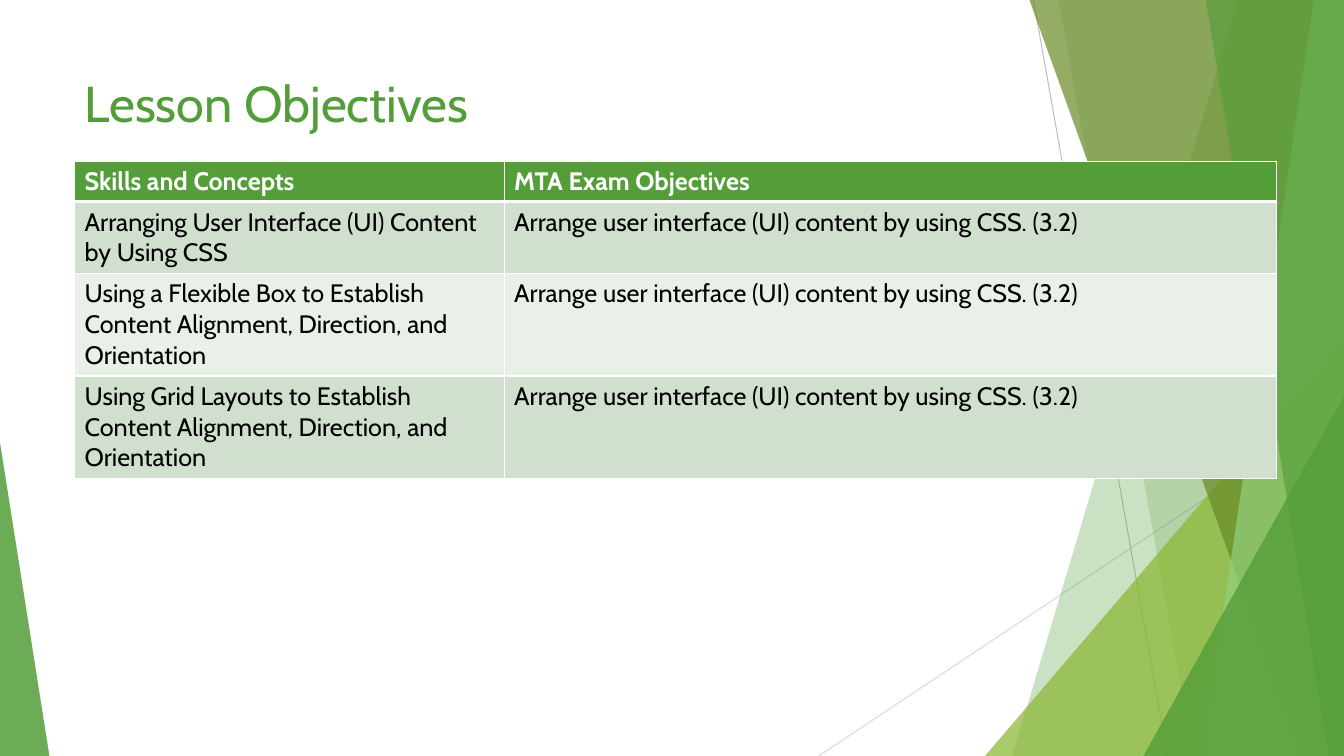
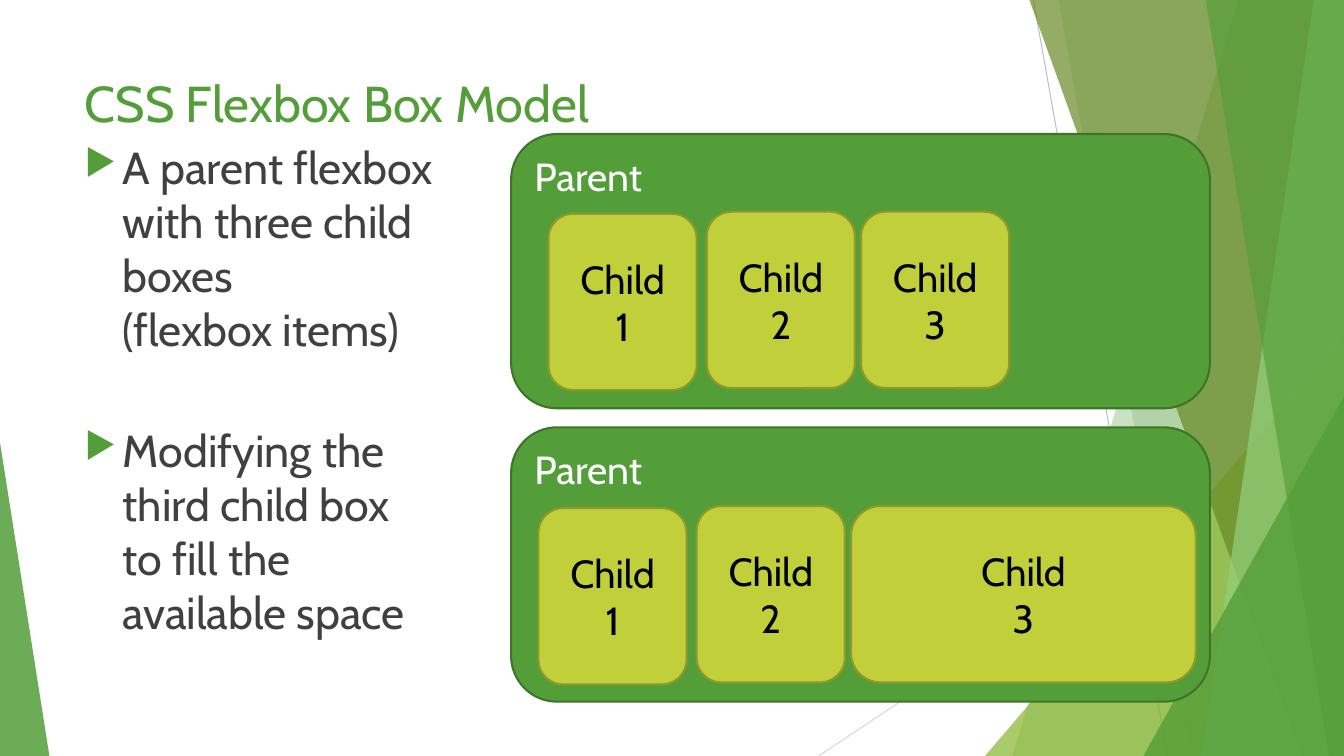
from lxml import etree
from pptx import Presentation
from pptx.dml.color import RGBColor
from pptx.enum.shapes import MSO_CONNECTOR, MSO_SHAPE
from pptx.enum.text import MSO_ANCHOR, PP_ALIGN
from pptx.oxml.ns import qn
from pptx.util import Inches, Pt

STRAIGHT = MSO_CONNECTOR.STRAIGHT
TRIANGLE = MSO_SHAPE.ISOSCELES_TRIANGLE
ROUNDED = MSO_SHAPE.ROUNDED_RECTANGLE
LEFT, CENTER = PP_ALIGN.LEFT, PP_ALIGN.CENTER
TOP, MIDDLE = MSO_ANCHOR.TOP, MSO_ANCHOR.MIDDLE

WHITE = RGBColor(0xFF, 0xFF, 0xFF)
BLACK = RGBColor(0x00, 0x00, 0x00)
CHARCOAL = RGBColor(0x40, 0x40, 0x40)
GRAY = RGBColor(0xBF, 0xBF, 0xBF)
LIGHT_GRAY = RGBColor(0xD9, 0xD9, 0xD9)
GREEN = RGBColor(0x54, 0x9E, 0x39)
DARK_GREEN = RGBColor(0x3E, 0x75, 0x2A)
LEAF = RGBColor(0x8A, 0xB8, 0x33)
OLIVE = RGBColor(0x67, 0x8A, 0x26)
MINT = RGBColor(0x93, 0xD0, 0x7D)
LIME = RGBColor(0xC0, 0xCF, 0x3A)
DARK_LIME = RGBColor(0x8E, 0x99, 0x2B)
BAND_DARK = RGBColor(0xD1, 0xDF, 0xCE)
BAND_LIGHT = RGBColor(0xE9, 0xF0, 0xE8)

WIDTH, HEIGHT = 13.33, 7.5
MARGIN = 0.74
FONT = "Cabin"

RAYS = [
    ((10.25, 0), (11.58, HEIGHT), GRAY),
    ((WIDTH, 4.03), (8.12, HEIGHT), LIGHT_GRAY),
]
FACETS = [
    ("band", 12.28, 10.04, GREEN, 30),
    ("band", 10.5, 11.83, GREEN, 20),
    ("corner", 9.77, 3.33, LEAF, 72),
    ("band", 10.21, 12.91, OLIVE, 70),
    ("band", 13.03, 11.92, MINT, 70),
    ("band", 11.96, 13.18, GREEN, 65),
    ("corner", 11.34, 3.93, GREEN, 80),
]

OBJECTIVE = "Arrange user interface (UI) content by using CSS. (3.2)"
OBJECTIVES = [
    ("Skills and Concepts", "MTA Exam Objectives"),
    ("Arranging User Interface (UI) Content by Using CSS", OBJECTIVE),
    ("Using a Flexible Box to Establish Content Alignment, Direction, "
     "and Orientation", OBJECTIVE),
    ("Using Grid Layouts to Establish Content Alignment, Direction, "
     "and Orientation", OBJECTIVE),
]
BULLETS = [
    ("A parent flexbox\vwith three child\vboxes\v(flexbox items)", 10),
    ("Modifying the\vthird child box\vto fill the\vavailable space", 48.4),
]


class Deck:
    def __init__(self):
        self.prs = Presentation()
        self.prs.slide_width = Inches(WIDTH)
        self.prs.slide_height = Inches(HEIGHT)
        self.s = None

    def slide(self, title):
        self.s = self.prs.slides.add_slide(self.prs.slide_layouts[6])
        self.s.background.fill.solid()
        self.s.background.fill.fore_color.rgb = WHITE
        self.backdrop()
        tf = self.text_box(MARGIN, 0.67, 9.4, 1.44)
        self.set_text(tf.paragraphs[0], title, GREEN, 36)

    def backdrop(self):
        shapes = self.s.shapes.add_group_shape().shapes
        for start, end, color in RAYS:
            self.line(shapes, start, end, color)
        for kind, first, second, color, opacity in FACETS:
            if kind == "band":
                sp = self.band(shapes, first, second)
            else:
                sp = self.triangle(shapes, first, second, WIDTH - first, 1)
            self.paint(sp, color, opacity=opacity)
        sp = self.triangle(shapes, 0, 4.39, 0.49, 0)
        self.paint(sp, GREEN, opacity=85)

    def line(self, shapes, start, end, color):
        points = [Inches(v) for v in (*start, *end)]
        ln = shapes.add_connector(STRAIGHT, *points)
        ln.line.color.rgb = color
        ln.line.width = Pt(0.75)
        etree.SubElement(ln._element.spPr, qn("a:effectLst"))

    def band(self, shapes, top_x, bottom_x):
        outline = [(WIDTH, 0), (WIDTH, HEIGHT), (bottom_x, HEIGHT)]
        builder = shapes.build_freeform(Inches(top_x), 0)
        builder.add_line_segments([(Inches(x), Inches(y)) for x, y in outline])
        return builder.convert_to_shape()

    def triangle(self, shapes, x, y, w, apex):
        box = [Inches(v) for v in (x, y, w, HEIGHT - y)]
        sp = shapes.add_shape(TRIANGLE, *box)
        sp.adjustments[0] = apex
        return sp

    def paint(self, sp, fill, line=None, opacity=None):
        sp.shadow.inherit = False
        sp.fill.solid()
        sp.fill.fore_color.rgb = fill
        if opacity:
            color = sp._element.spPr.find(f"{qn('a:solidFill')}/{qn('a:srgbClr')}")
            etree.SubElement(color, qn("a:alpha"), val=str(opacity * 1000))
        if line:
            sp.line.color.rgb = line
            sp.line.width = Pt(1.5)
        else:
            sp.line.fill.background()

    def set_text(self, p, text, color, size, align=LEFT, bold=False):
        p.text = text
        p.alignment = align
        formats = {"name": FONT, "size": Pt(size), "bold": bold}
        for r in p.runs:
            for name, value in formats.items():
                setattr(r.font, name, value)
            r.font.color.rgb = color

    def text_box(self, x, y, w, h):
        box = [Inches(v) for v in (x, y, w, h)]
        tf = self.s.shapes.add_textbox(*box).text_frame
        tf.word_wrap = True
        return tf

    def bullets(self, items, x, y, w, h):
        tf = self.text_box(x, y, w, h)
        for i, (text, gap) in enumerate(items):
            p = tf.add_paragraph() if i else tf.paragraphs[0]
            self.set_text(p, text, CHARCOAL, 32)
            p.space_before = Pt(gap)
            ppr = p._p.get_or_add_pPr()
            indent = Inches(0.38)
            ppr.set("marL", str(indent))
            ppr.set("indent", str(-indent))
            color = etree.SubElement(ppr, qn("a:buClr"))
            etree.SubElement(color, qn("a:srgbClr"), val=str(GREEN))
            etree.SubElement(ppr, qn("a:buSzPct"), val="80000")
            etree.SubElement(ppr, qn("a:buChar"), char="▶")

    def table(self, rows, x, y, widths, heights):
        size = [Inches(v) for v in (x, y, sum(widths), sum(heights))]
        table = self.s.shapes.add_table(len(rows), len(widths), *size).table
        for column, w in zip(table.columns, widths):
            column.width = Inches(w)
        for row, h in zip(table.rows, heights):
            row.height = Inches(h)
        for i, texts in enumerate(rows):
            header = i == 0
            fill = GREEN if header else BAND_DARK if i % 2 else BAND_LIGHT
            for j, text in enumerate(texts):
                cell = table.cell(i, j)
                cell.fill.solid()
                cell.fill.fore_color.rgb = fill
                self.set_text(cell.text_frame.paragraphs[0], text,
                              WHITE if header else BLACK, 18, bold=header)
                self.borders(cell, 3 if i == 1 else 1, 3 if header else 1)

    def borders(self, cell, top, bottom):
        tcpr = cell._tc.get_or_add_tcPr()
        sides = {"lnL": 1, "lnR": 1, "lnT": top, "lnB": bottom}
        for i, (side, width) in enumerate(sides.items()):
            ln = etree.Element(qn(f"a:{side}"), w=str(Pt(width)))
            fill = etree.SubElement(ln, qn("a:solidFill"))
            etree.SubElement(fill, qn("a:srgbClr"), val=str(WHITE))
            tcpr.insert(i, ln)

    def box(self, shapes, text, x, y, w, h, fill, line, color, align, anchor):
        sp = shapes.add_shape(ROUNDED, *[Inches(v) for v in (x, y, w, h)])
        self.paint(sp, fill, line)
        tf = sp.text_frame
        tf.word_wrap = True
        tf.vertical_anchor = anchor
        self.set_text(tf.paragraphs[0], text, color, 28, align)

    def flexbox(self, y, child_x, child_y, last_width):
        shapes = self.s.shapes.add_group_shape().shapes
        self.box(shapes, "Parent", 5.07, y, 6.93, 2.72,
                 GREEN, DARK_GREEN, WHITE, LEFT, TOP)
        children = [(0, 0.02, 1.47), (1.57, 0, 1.47), (3.1, 0, last_width)]
        for i, (dx, dy, w) in enumerate(children, 1):
            self.box(shapes, f"Child\v{i}", child_x + dx, child_y + dy, w, 1.75,
                     LIME, DARK_LIME, BLACK, CENTER, MIDDLE)


def main():
    deck = Deck()
    deck.slide("Lesson Objectives")
    deck.table(OBJECTIVES, MARGIN, 1.6, [4.26, 7.66], [0.4, 0.71, 1.02, 1.02])
    deck.slide("CSS Flexbox Box Model")
    deck.bullets(BULLETS, MARGIN, 1.34, 9.27, 5.81)
    deck.flexbox(1.33, 5.44, 2.1, 1.47)
    deck.flexbox(4.24, 5.34, 5.02, 3.42)
    deck.prs.save("out.pptx")


if __name__ == "__main__":
    main()
